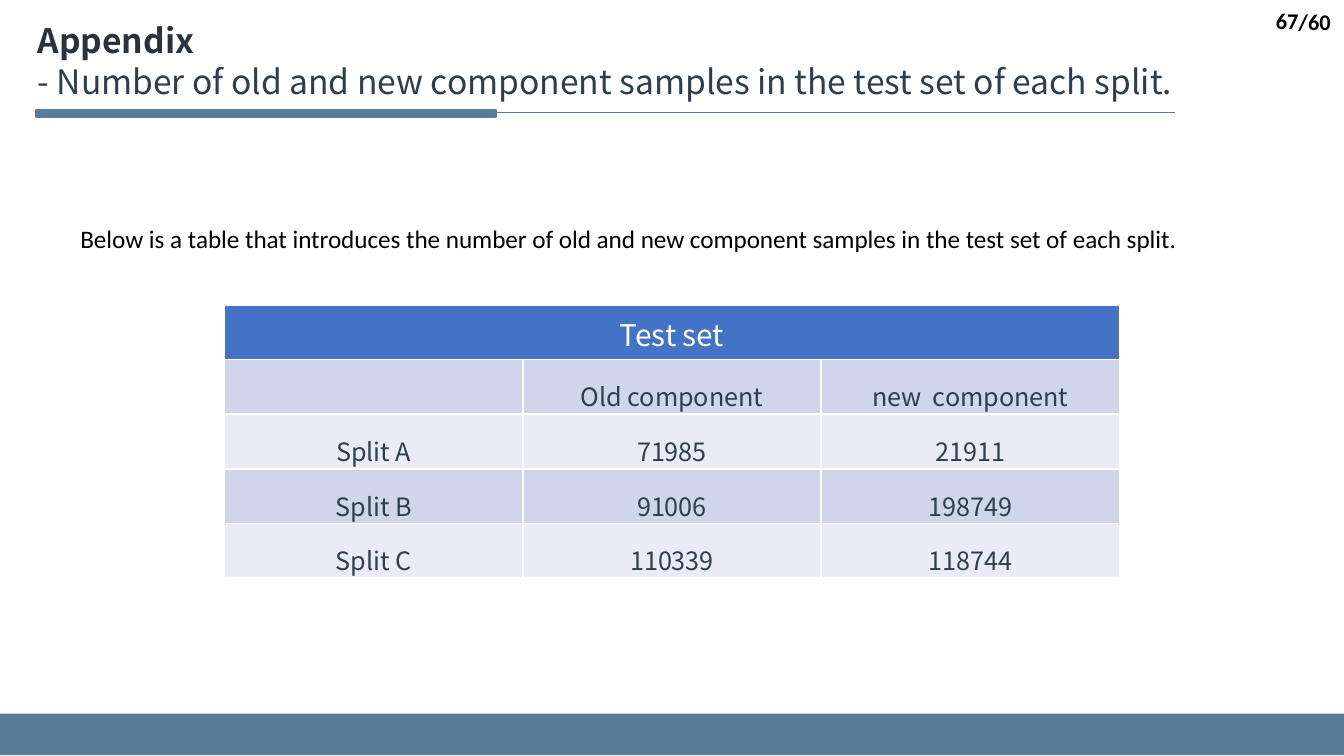
import pptx
import pptx.util
import pptx.dml.color
import pptx.enum.shapes
import pptx.enum.text
import pptx.oxml.ns
import lxml.etree
from dataclasses import dataclass

Inches = pptx.util.Inches
Pt = pptx.util.Pt
ALIGN = pptx.enum.text.PP_ALIGN
ANCHOR = pptx.enum.text.MSO_ANCHOR


@dataclass(frozen=True)
class Theme:
    bar: str = "597D98"
    title: str = "29323F"
    ink: str = "2D3F4C"
    black: str = "000000"
    white: str = "FFFFFF"
    header: str = "4472C4"
    bands: tuple = ("CFD5EA", "E9EBF5")
    heading_font: str = "Noto Sans CJK SC"
    body_font: str = "Calibri"
    title_size: float = 18
    header_size: float = 16
    body_size: float = 13.5
    page_size: float = 12


def rgb(value):
    return pptx.dml.color.RGBColor.from_string(value)


class SlideBuilder:
    def __init__(self, prs, theme):
        self.theme = theme
        self.s = prs.slides.add_slide(prs.slide_layouts[5])

    def style(self, font, name, size, color, bold=False):
        font.name, font.size, font.bold = name, Pt(size), bold
        font.color.rgb = rgb(color)

    def bar(self, x, y, w, h, outlined=False):
        sp = self.s.shapes.add_shape(
            pptx.enum.shapes.MSO_SHAPE.RECTANGLE,
            Inches(x), Inches(y), Inches(w), Inches(h))
        sp.shadow.inherit = False
        sp.fill.solid()
        sp.fill.fore_color.rgb = rgb(self.theme.bar)
        if outlined:
            sp.line.color.rgb = rgb(self.theme.bar)
            sp.line.width = Pt(1)
        else:
            sp.line.fill.background()

    def rule(self, x1, x2, y):
        line = self.s.shapes.add_connector(
            pptx.enum.shapes.MSO_CONNECTOR.STRAIGHT,
            Inches(x1), Inches(y), Inches(x2), Inches(y))
        line.line.color.rgb = rgb(self.theme.bar)
        line.line.width = Pt(0.5)
        lxml.etree.SubElement(line._element.spPr, pptx.oxml.ns.qn("a:effectLst"))

    def title(self, heading, subtitle, x, y, w, h):
        t = self.theme
        sp = self.s.shapes.title
        sp.left, sp.top, sp.width, sp.height = map(Inches, (x, y, w, h))
        tf = sp.text_frame
        tf.auto_size = pptx.enum.text.MSO_AUTO_SIZE.NONE
        tf.vertical_anchor = ANCHOR.TOP
        p = tf.paragraphs[0]
        p.alignment = ALIGN.LEFT
        r = p.add_run()
        r.text = heading
        self.style(r.font, t.heading_font, t.title_size, t.title, True)
        p.add_line_break()
        r = p.add_run()
        r.text = subtitle
        self.style(r.font, t.heading_font, t.title_size, t.ink)

    def text(self, text, x, y, w, h, size, bold=False,
             align=ALIGN.LEFT, anchor=ANCHOR.TOP):
        sp = self.s.shapes.add_textbox(Inches(x), Inches(y), Inches(w), Inches(h))
        tf = sp.text_frame
        tf.word_wrap = True
        tf.vertical_anchor = anchor
        p = tf.paragraphs[0]
        p.text = text
        p.alignment = align
        self.style(p.font, self.theme.body_font, size, self.theme.black, bold)

    def cell(self, cell, text, fill, size, color):
        cell.fill.solid()
        cell.fill.fore_color.rgb = rgb(fill)
        p = cell.text_frame.paragraphs[0]
        p.text = text
        p.alignment = ALIGN.CENTER
        self.style(p.font, self.theme.heading_font, size, color)

    def table(self, heading, rows, x, y, w, h):
        t = self.theme
        n_cols = len(rows[0])
        table = self.s.shapes.add_table(
            len(rows) + 1, n_cols, Inches(x), Inches(y), Inches(w), Inches(h)).table
        header = table.cell(0, 0)
        header.merge(table.cell(0, n_cols - 1))
        self.cell(header, heading, t.header, t.header_size, t.white)
        for j in range(n_cols):
            table.cell(0, j).margin_bottom = Inches(0.03)
        for i, row in enumerate(rows):
            for j, value in enumerate(row):
                cell = table.cell(i + 1, j)
                cell.margin_left = cell.margin_right = cell.margin_top = Inches(0.01)
                cell.margin_bottom = 0
                cell.vertical_anchor = ANCHOR.BOTTOM
                self.cell(cell, value, t.bands[i % 2], t.body_size, t.ink)


def main():
    prs = pptx.Presentation()
    prs.slide_width = Inches(10)
    prs.slide_height = prs.slide_width * 9 // 16
    theme = Theme()
    b = SlideBuilder(prs, theme)
    b.bar(0, 5.31, 10, 0.31)
    b.rule(0.27, 8.74, 0.84)
    b.bar(0.27, 0.82, 3.42, 0.05, outlined=True)
    b.title("Appendix",
            "- Number of old and new component samples in the test set of each split.",
            0.18, 0.1, 9.14, 0.71)
    b.table("Test set", [
        ("", "Old component", "new  component"),
        ("Split A", "71985", "21911"),
        ("Split B", "91006", "198749"),
        ("Split C", "110339", "118744"),
    ], 1.67, 2.27, 6.66, 2.03)
    b.text("Below is a table that introduces the number of old and new component "
           "samples in the test set of each split.",
           0.5, 1.61, 9, 0.33, theme.body_size)
    for text, x, y, w in (("/60", 9.54, 0.01, 0.46), ("67", 7.75, 0, 2.01)):
        b.text(text, x, y, w, 0.3, theme.page_size, True, ALIGN.RIGHT, ANCHOR.MIDDLE)
    prs.save("out.pptx")


if __name__ == "__main__":
    main()
